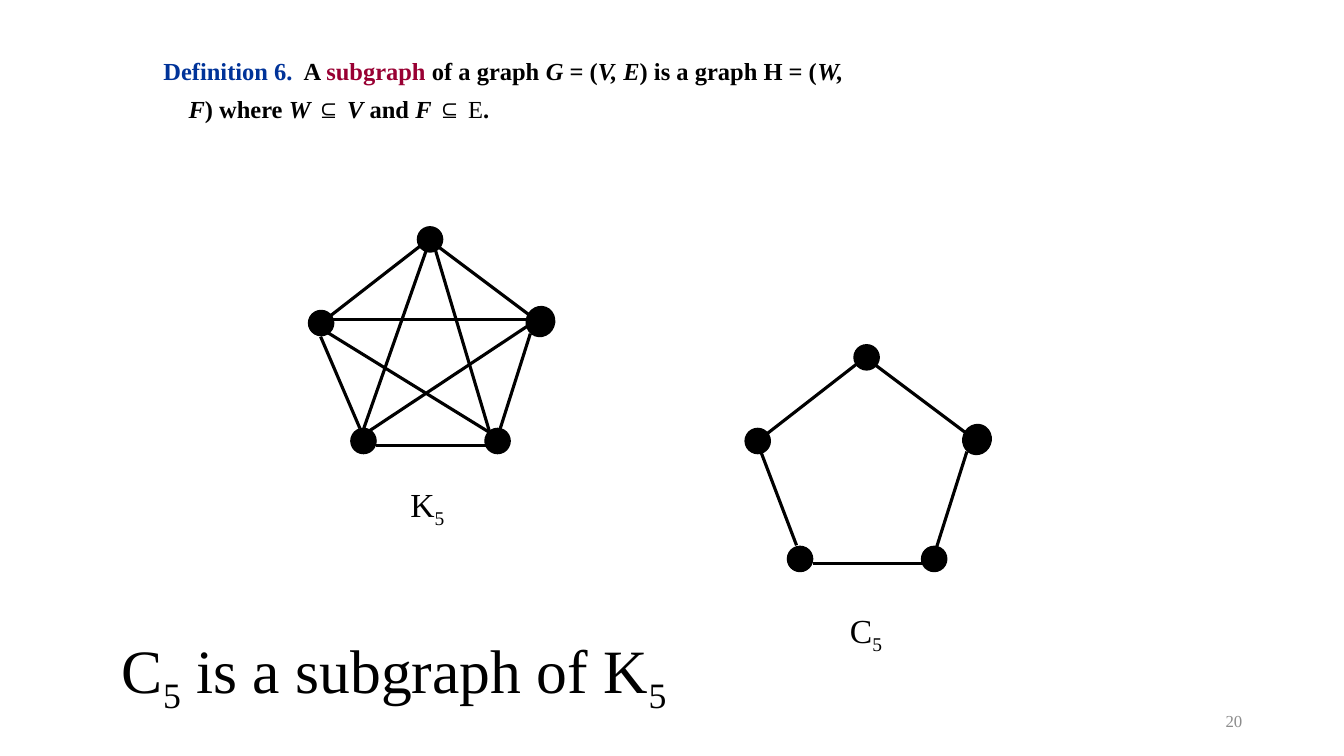
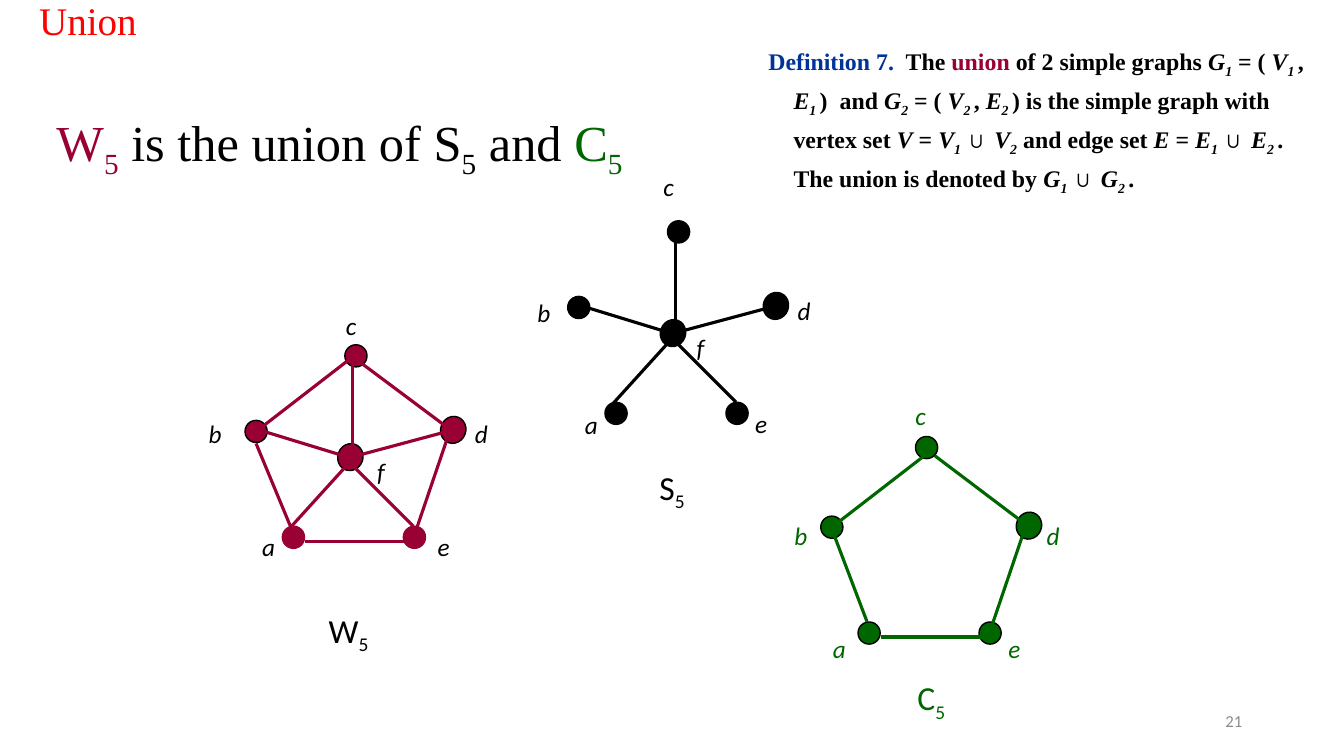
from dataclasses import dataclass, field
from typing import NamedTuple

from lxml.etree import SubElement
from pptx import Presentation
from pptx.dml.color import RGBColor
from pptx.enum.shapes import MSO_CONNECTOR, MSO_SHAPE
from pptx.enum.text import MSO_ANCHOR, MSO_AUTO_SIZE, PP_ALIGN
from pptx.oxml.ns import qn
from pptx.util import Inches, Length, Pt


@dataclass(frozen=True)
class Theme:
    black: str = "000000"
    blue: str = "003399"
    wine: str = "990033"
    green: str = "006600"
    red: str = "FF0000"
    gray: str = "8C8C8C"
    serif: str = "Times New Roman"
    sans: str = "Calibri"
    name: float = 24
    node: float = 18
    page: float = 12
    head: float = 27.9
    edge: float = 2.25
    rim: float = 1


THEME = Theme()
FLAGS = {"B": THEME.blue, "W": THEME.wine, "G": THEME.green}


class Point(NamedTuple):
    x: float
    y: float


class Box(NamedTuple):
    x: float
    y: float
    w: float
    h: float

    def inches(self) -> tuple[Length, ...]:
        return tuple(Inches(v) for v in self)


class Edge(NamedTuple):
    start: Point
    end: Point


class Part(NamedTuple):
    text: str
    flags: str = ""


@dataclass(frozen=True)
class Style:
    size: float
    font: str = THEME.serif
    color: str = THEME.black
    bold: bool = False
    italic: bool = False
    align: PP_ALIGN = PP_ALIGN.LEFT
    anchor: MSO_ANCHOR = MSO_ANCHOR.TOP
    space: float | Length = 1.0
    left: float = 0.1
    right: float = 0.1
    top: float = 0.05


@dataclass(frozen=True)
class Base:
    dots: dict[str, Point]
    edges: dict[str, Edge]
    dot: tuple[float, float]
    tilt: tuple[float, float]


@dataclass(frozen=True)
class Graph:
    base: Base
    name: str
    spot: Box
    dots: str
    edges: tuple[str, ...]
    move: Point = Point(0, 0)
    color: str = THEME.black
    ink: str = THEME.black
    font: str = THEME.sans
    plain: str = ""
    nodes: dict[str, Point] = field(default_factory=dict)
    nudge: dict[str, Point] = field(default_factory=dict)
    bend: dict[str, Edge] = field(default_factory=dict)


def edge(x1: float, y1: float, x2: float, y2: float) -> Edge:
    return Edge(Point(x1, y1), Point(x2, y2))


RING = ("ab", "ae", "de", "cd", "bc")
STAR = ("be", "ad", "ce", "ac", "bd")
SPOKES = ("bf", "ef", "af", "cf", "df")

LARGE = Base(
    {"c": Point(4.14, 2.25), "b": Point(3.06, 3.08), "d": Point(5.22, 3.04),
     "a": Point(3.48, 4.25), "e": Point(4.81, 4.25)},
    {"ab": edge(3.18, 3.34, 3.57, 4.25), "ae": edge(4.89, 4.42, 3.73, 4.42),
     "de": edge(4.94, 4.32, 5.26, 3.31), "cd": edge(4.31, 2.42, 5.31, 3.17),
     "bc": edge(3.23, 3.17, 4.31, 2.33), "be": edge(3.17, 3.25, 4.92, 4.33),
     "ad": edge(3.58, 4.33, 5.33, 3.17), "ce": edge(4.25, 2.25, 4.92, 4.5),
     "ac": edge(4.25, 2.42, 3.58, 4.33), "bd": edge(3.17, 3.17, 5.25, 3.17)},
    (0.25, 0.25), (0.28, 0.3))

SMALL = Base(
    {"c": Point(3.42, 3.42), "b": Point(2.43, 4.17), "d": Point(4.37, 4.13),
     "a": Point(2.8, 5.22), "e": Point(4, 5.22), "f": Point(3.35, 4.4)},
    {"ab": edge(2.54, 4.4, 2.88, 5.22), "ae": edge(4.08, 5.37, 3.03, 5.37),
     "de": edge(4.12, 5.28, 4.46, 4.28), "cd": edge(3.58, 3.6, 4.45, 4.25),
     "bc": edge(2.58, 4.25, 3.55, 3.5), "bf": edge(2.52, 4.25, 3.5, 4.55),
     "ef": edge(3.43, 4.55, 4.1, 5.22), "af": edge(2.82, 5.3, 3.5, 4.55),
     "cf": edge(3.5, 3.58, 3.5, 4.55), "df": edge(3.43, 4.55, 4.55, 4.25)},
    (0.22, 0.22), (0.25, 0.27))


def frame(shape, style: Style):
    text = shape.text_frame
    values = {"word_wrap": True, "auto_size": MSO_AUTO_SIZE.NONE,
              "vertical_anchor": style.anchor,
              "margin_left": Inches(style.left),
              "margin_right": Inches(style.right),
              "margin_top": Inches(style.top),
              "margin_bottom": Inches(0.05)}
    for key, value in values.items():
        setattr(text, key, value)
    return text


def write(shape, parts: list[Part], style: Style, hang: float = 0) -> None:
    para = frame(shape, style).paragraphs[0]
    if hang:
        props = para._p.get_or_add_pPr()
        props.set("marL", str(Inches(hang)))
        props.set("indent", str(-Inches(hang)))
        SubElement(props, qn("a:buNone"))
    values = {"alignment": style.align, "line_spacing": style.space,
              "space_before": Pt(0)}
    for key, value in values.items():
        setattr(para, key, value)
    for part in parts:
        run = para.add_run()
        run.text = part.text
        looks = {"name": style.font, "size": Pt(style.size),
                 "bold": style.bold and "n" not in part.flags,
                 "italic": style.italic or "i" in part.flags}
        for key, value in looks.items():
            setattr(run.font, key, value)
        tint = next((FLAGS[f] for f in part.flags if f in FLAGS), style.color)
        run.font.color.rgb = RGBColor.from_string(tint)
        if "s" in part.flags:
            run._r.get_or_add_rPr().set("baseline", "-25000")


def label(slide, box: Box, parts: list[Part], style: Style) -> None:
    write(slide.shapes.add_textbox(*box.inches()), parts, style)


def place(shape, box: Box, parts: list[Part], style: Style,
          hang: float = 0) -> None:
    for key, value in zip(("left", "top", "width", "height"), box.inches()):
        setattr(shape, key, value)
    write(shape, parts, style, hang)


def draw(slide, graph: Graph) -> None:
    base, move = graph.base, graph.move
    fill = RGBColor.from_string(graph.color)
    for key in graph.dots:
        at = base.dots[key]
        off = graph.nudge.get(key, Point(0, 0))
        tilted = key in "df"
        size = base.tilt if tilted else base.dot
        box = Box(at.x + move.x + off.x, at.y + move.y + off.y, *size)
        dot = slide.shapes.add_shape(MSO_SHAPE.OVAL, *box.inches())
        dot.shadow.inherit = False
        dot.rotation = 20.8 if tilted else 0
        dot.fill.solid()
        dot.fill.fore_color.rgb = fill
        rim = graph.color if key in graph.plain else THEME.black
        dot.line.color.rgb = RGBColor.from_string(rim)
        dot.line.width = Pt(THEME.rim)
    for key in graph.edges:
        ends = graph.bend.get(key, base.edges[key])
        spots = [Inches(v) for p in ends for v in (p.x + move.x, p.y + move.y)]
        line = slide.shapes.add_connector(MSO_CONNECTOR.STRAIGHT, *spots)
        line.line.color.rgb = fill
        line.line.width = Pt(THEME.edge)
        SubElement(line._element.spPr, qn("a:effectLst"))
    node = Style(THEME.node, THEME.sans, graph.ink, italic=True,
                 left=0.16, right=0)
    for key, at in graph.nodes.items():
        label(slide, Box(*at, 0.39, 0.4), [Part(key)], node)
    name = Style(THEME.name, graph.font, graph.ink, left=0.18, right=0)
    label(slide, graph.spot, [Part(graph.name), Part("5", "s")], name)


@dataclass(frozen=True)
class Page:
    number: str
    font: str
    title: list[Part]
    title_box: Box
    title_size: float
    text: list[Part]
    text_box: Box
    text_size: float
    pitch: float
    graphs: list[Graph]
    head: str = ""


def sub(letter: str, digit: str) -> list[Part]:
    return [Part(letter, "i"), Part(digit, "is")]


FIRST = Page(
    "20", THEME.serif,
    [Part("C"), Part("5", "s"), Part(" is a subgraph of K"), Part("5", "s")],
    Box(1.11, 6.03, 8.58, 1.25), 44,
    [Part("Definition 6.", "B"), Part("  A "), Part("subgraph", "W"),
     Part(" of a graph "), Part("G", "i"), Part(" = ("), Part("V, E", "i"),
     Part(") is a graph H = ("), Part("W, F", "i"), Part(") where "),
     Part("W ", "i"), Part("⊆ "), Part("V", "i"), Part(" and "),
     Part("F ", "i"), Part("⊆ "), Part("E", "n"), Part(".")],
    Box(1.52, 0.09, 7.17, 1.96), 17.5, 27.1,
    [Graph(LARGE, "C", Box(8.25, 6, 0.62, 0.5), "cbdae", RING,
           Point(4.33, 1.17), font=THEME.serif,
           bend={"ab": edge(3.17, 3.19, 3.57, 4.24)}),
     Graph(LARGE, "K", Box(3.89, 4.75, 0.64, 0.5), "cbdae", RING + STAR,
           font=THEME.serif)])

SECOND = Page(
    "21", THEME.sans,
    [Part("W", "W"), Part("5", "sW"), Part(" is the union of S"),
     Part("5", "s"), Part(" and "), Part("C", "G"), Part("5", "sG")],
    Box(0.46, 0.88, 8.58, 1.08), 36,
    [Part("Definition 7.", "B"), Part("  The "), Part("union", "W"),
     Part(" of 2 simple graphs "), *sub("G", "1"), Part(" = ( "),
     *sub("V", "1 "), Part(","), *sub(" E", "1 "), Part(")  and "),
     *sub("G", "2"), Part(" = ( "), *sub("V", "2 "), Part(","),
     *sub(" E", "2 "), Part(") is the simple graph with vertex set "),
     Part("V", "i"), Part(" = "), *sub("V", "1 "), Part("∪ "),
     *sub("V", "2"), Part(" and edge set "), Part("E", "i"), Part(" = "),
     *sub("E", "1 "), Part("∪ "), *sub("E", "2 "),
     Part(".  The union is denoted by "), *sub("G", "1 "), Part("∪ "),
     *sub("G", "2 "), Part(".")],
    Box(7.52, 0.02, 5.69, 2.06), 17, 27.9,
    [Graph(SMALL, "C", Box(8.92, 6.67, 0.57, 0.5), "cbdae", RING,
           Point(5.71, 0.95), THEME.green, THEME.green,
           nodes={"a": Point(8.1, 6.23), "b": Point(7.72, 5.11),
                  "c": Point(8.92, 3.92), "d": Point(10.22, 5.11),
                  "e": Point(9.84, 6.23)},
           nudge={"c": Point(-0.05, -0.04)},
           bend={"ab": edge(2.56, 4.35, 2.89, 5.22),
                 "cd": edge(3.56, 3.57, 4.46, 4.25)}),
     Graph(SMALL, "W", Box(3.08, 6, 0.69, 0.5), "cbdaef", RING + SPOKES,
           color=THEME.wine, plain="ae",
           nodes={"a": Point(2.44, 5.22), "b": Point(1.91, 4.1),
                  "c": Point(3.27, 3.03), "d": Point(4.55, 4.1),
                  "e": Point(4.18, 5.22), "f": Point(3.58, 4.48)}),
     Graph(SMALL, "S", Box(6.36, 4.58, 0.55, 0.5), "cbdaef", SPOKES,
           Point(3.2, -1.23),
           nodes={"a": Point(5.64, 4.01), "b": Point(5.17, 2.9),
                  "c": Point(6.42, 1.65), "d": Point(7.75, 2.88),
                  "e": Point(7.33, 4), "f": Point(6.75, 3.25)})],
    "Union")


def build(deck, page: Page) -> None:
    slide = deck.slides.add_slide(deck.slide_layouts[1])
    mid = MSO_ANCHOR.MIDDLE
    place(slide.shapes.title, page.title_box, page.title,
          Style(page.title_size, anchor=mid, space=0.9))
    place(slide.placeholders[1], page.text_box, page.text,
          Style(page.text_size, bold=True, space=Pt(page.pitch), top=0.38),
          0.25)
    for graph in page.graphs:
        draw(slide, graph)
    label(slide, Box(9.42, 6.95, 3, 0.4), [Part(page.number)],
          Style(THEME.page, page.font, THEME.gray, align=PP_ALIGN.RIGHT,
                anchor=mid))
    if page.head:
        label(slide, Box(0.29, 0.03, 8.75, 0.44), [Part(page.head)],
              Style(THEME.head, color=THEME.red, anchor=mid, space=0.7))


def main() -> None:
    deck = Presentation()
    deck.slide_width, deck.slide_height = Inches(13.33), Inches(7.5)
    for page in (FIRST, SECOND):
        build(deck, page)
    deck.save("out.pptx")


if __name__ == "__main__":
    main()
